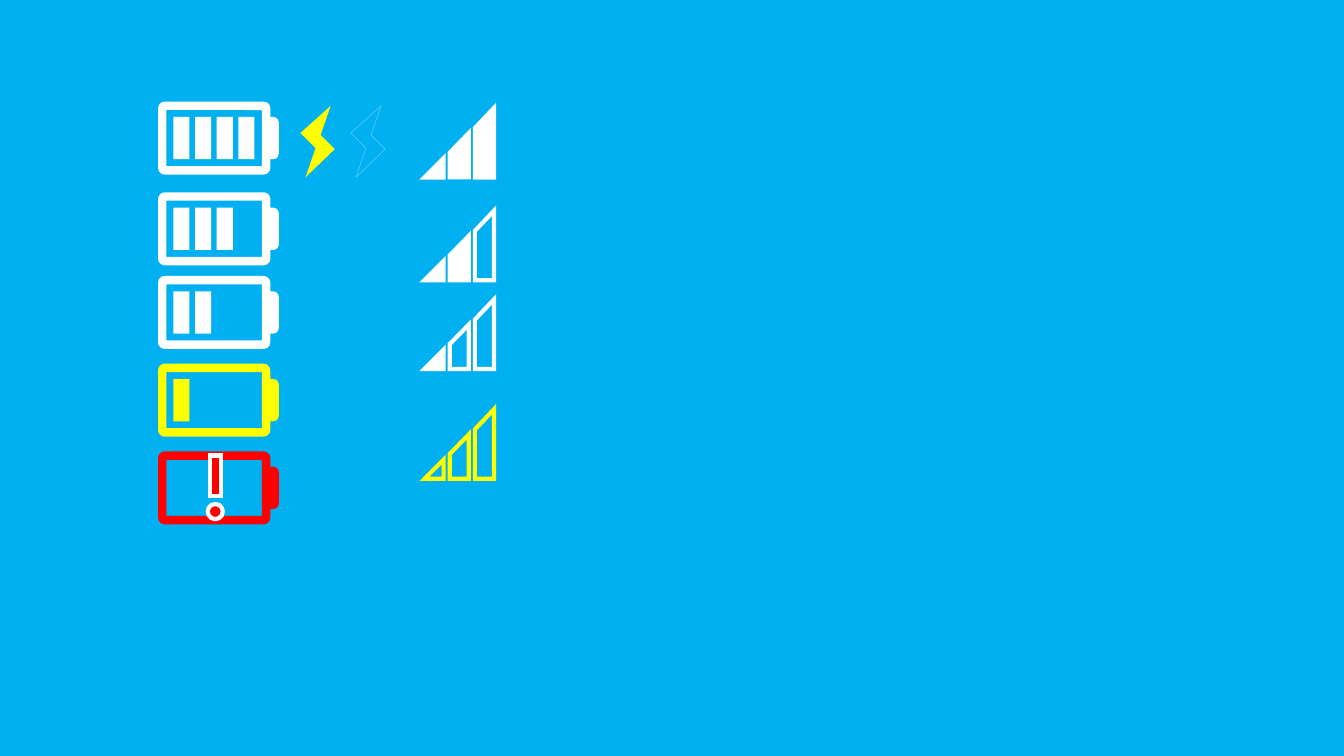
from dataclasses import dataclass

from lxml import etree
from pptx import Presentation
from pptx.dml.color import RGBColor
from pptx.enum.shapes import MSO_SHAPE
from pptx.oxml.ns import qn
from pptx.shapes.autoshape import Shape
from pptx.shapes.shapetree import GroupShapes, SlideShapes
from pptx.util import Inches, Pt

RECT = MSO_SHAPE.RECTANGLE
ROUND_RECT = MSO_SHAPE.ROUNDED_RECTANGLE
ROUND_TOP = MSO_SHAPE.ROUND_2_SAME_RECTANGLE
PROCESS = MSO_SHAPE.FLOWCHART_PROCESS
OVAL = MSO_SHAPE.OVAL

SKY = RGBColor(0x00, 0xB0, 0xF0)
WHITE = RGBColor(0xFF, 0xFF, 0xFF)
YELLOW = RGBColor(0xFF, 0xFF, 0x00)
RED = RGBColor(0xFF, 0x00, 0x00)

BATTERY_LEFT = 1.61
CELL_PITCH = 0.215
SIGNAL_LEFT = 4.21
BAR_PITCH, BAR_WIDTH = 0.25, 0.19
BOLT = [(0.3, 0), (0, 0.27), (0.15, 0.42), (0.05, 0.71), (0.34, 0.43), (0.2, 0.29)]


@dataclass
class Battery:
    top: float
    cells: int
    color: RGBColor


@dataclass
class Signal:
    base: float
    filled: int
    color: RGBColor


BATTERIES = [
    Battery(1.05, 4, WHITE),
    Battery(1.95, 3, WHITE),
    Battery(2.78, 2, WHITE),
    Battery(3.65, 1, YELLOW),
    Battery(4.52, 0, RED),
]
SIGNALS = [
    Signal(1.76, 3, WHITE),
    Signal(2.78, 2, WHITE),
    Signal(3.66, 1, WHITE),
    Signal(4.75, 0, YELLOW),
]


def paint(sp: Shape, fill: RGBColor | None = None,
          line: RGBColor | None = None, width: float = 3) -> None:
    sp.shadow.inherit = False
    if fill is None:
        sp.fill.background()
    else:
        sp.fill.solid()
        sp.fill.fore_color.rgb = fill
    if line is None:
        sp.line.fill.background()
    else:
        sp.line.color.rgb = line
        sp.line.width = Pt(width)
        ln = sp.line._get_or_add_ln()
        etree.SubElement(ln, qn("a:miter")).set("lim", "800000")


def add_preset(shapes: GroupShapes, kind: MSO_SHAPE, left: float, top: float,
               width: float, height: float) -> Shape:
    return shapes.add_shape(kind, Inches(left), Inches(top), Inches(width), Inches(height))


def add_outline(shapes: SlideShapes | GroupShapes,
                points: list[tuple[float, float]]) -> Shape:
    corners = [(Inches(x), Inches(y)) for x, y in points]
    builder = shapes.build_freeform(*corners[0])
    builder.add_line_segments(corners[1:], close=True)
    return builder.convert_to_shape()


def add_battery(shapes: SlideShapes, battery: Battery) -> None:
    group = shapes.add_group_shape().shapes
    top, color = battery.top, battery.color
    body = add_preset(group, ROUND_RECT, BATTERY_LEFT, top, 1.03, 0.64)
    body.adjustments[0] = 0.043
    paint(body, line=color, width=6)
    cap = add_preset(group, ROUND_TOP, BATTERY_LEFT + 0.88, top + 0.255, 0.42, 0.13)
    cap.rotation = 90
    cap.adjustments[0] = 0.422
    paint(cap, color)
    for i in range(battery.cells):
        left = BATTERY_LEFT + 0.11 + i * CELL_PITCH
        paint(add_preset(group, RECT, left, top + 0.11, 0.16, 0.42), color)
    # An empty battery carries an exclamation mark
    if battery.cells == 0:
        paint(add_preset(group, PROCESS, BATTERY_LEFT + 0.47, top, 0.11, 0.4), color, WHITE)
        paint(add_preset(group, OVAL, BATTERY_LEFT + 0.45, top + 0.48, 0.15, 0.15), color, WHITE)


def add_bolt(shapes: SlideShapes, left: float, top: float) -> Shape:
    return add_outline(shapes, [(left + x, top + y) for x, y in BOLT])


def add_signal(shapes: SlideShapes, signal: Signal) -> None:
    group = shapes.add_group_shape().shapes
    base = signal.base
    for i in range(3):
        left = SIGNAL_LEFT + i * BAR_PITCH
        right = left + BAR_WIDTH
        points = [(left, base), (right, base - BAR_WIDTH - i * BAR_PITCH), (right, base)]
        if i > 0:
            points.insert(1, (left, base - i * 0.245))
        paint(add_outline(group, points),
              signal.color if i < signal.filled else None, signal.color)


def main() -> None:
    prs = Presentation()
    prs.slide_width, prs.slide_height = Inches(13.33), Inches(7.5)
    slide = prs.slides.add_slide(prs.slide_layouts[6])
    slide.background.fill.solid()
    slide.background.fill.fore_color.rgb = SKY

    # Battery levels
    for battery in BATTERIES:
        add_battery(slide.shapes, battery)

    # Charging bolts: on, and off as a half-transparent outline
    paint(add_bolt(slide.shapes, 2.98, 1.05), YELLOW)
    bolt_off = add_bolt(slide.shapes, 3.48, 1.05)
    paint(bolt_off, line=WHITE, width=0.25)
    line_color = bolt_off.line._get_or_add_ln().find(".//" + qn("a:srgbClr"))
    etree.SubElement(line_color, qn("a:alpha")).set("val", "50000")

    # Signal strengths
    for signal in SIGNALS:
        add_signal(slide.shapes, signal)

    prs.save("out.pptx")


if __name__ == "__main__":
    main()
